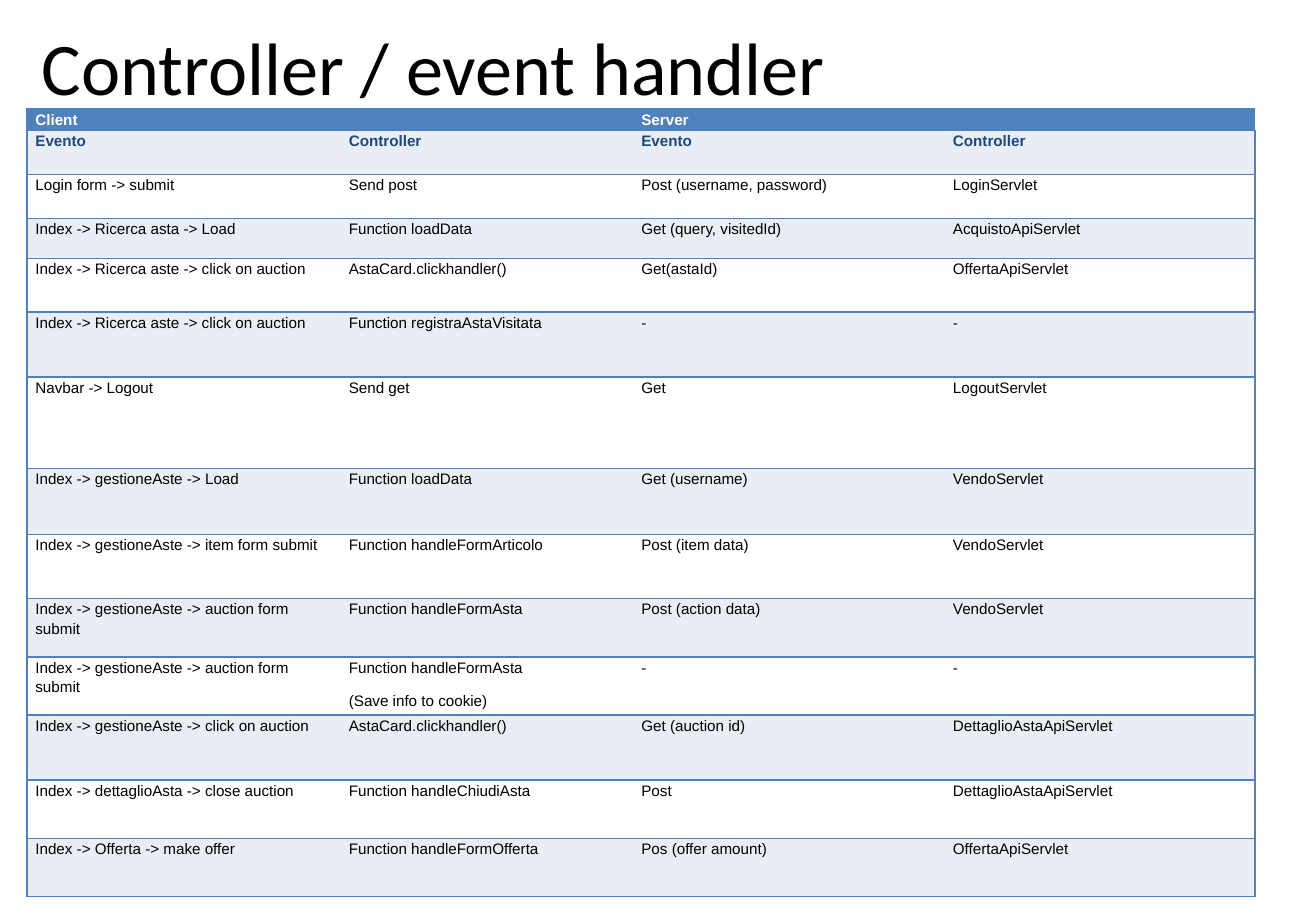
import pptx
import pptx.dml.color
import pptx.enum.text
import pptx.oxml
import pptx.oxml.ns
import pptx.util

Pt = pptx.util.Pt
RGB = pptx.dml.color.RGBColor.from_string

TITLE = "Controller / event handler"
ROWS = [
    ("Client", "", "Server", ""),
    ("Evento", "Controller", "Evento", "Controller"),
    ("Login form -> submit", "Send post", "Post (username, password)", "LoginServlet"),
    ("Index -> Ricerca asta -> Load", "Function loadData", "Get (query, visitedId)", "AcquistoApiServlet"),
    ("Index -> Ricerca aste -> click on auction", "AstaCard.clickhandler()", "Get(astaId)", "OffertaApiServlet"),
    ("Index -> Ricerca aste -> click on auction", "Function registraAstaVisitata", "-", "-"),
    ("Navbar -> Logout", "Send get", "Get", "LogoutServlet"),
    ("Index -> gestioneAste -> Load", "Function loadData", "Get (username)", "VendoServlet"),
    ("Index -> gestioneAste -> item form submit", "Function handleFormArticolo", "Post (item data)", "VendoServlet"),
    ("Index -> gestioneAste -> auction form submit", "Function handleFormAsta", "Post (action data)", "VendoServlet"),
    ("Index -> gestioneAste -> auction form submit", "Function handleFormAsta\n(Save info to cookie)", "-", "-"),
    ("Index -> gestioneAste -> click on auction", "AstaCard.clickhandler()", "Get (auction id)", "DettaglioAstaApiServlet"),
    ("Index -> dettaglioAsta -> close auction", "Function handleChiudiAsta", "Post", "DettaglioAstaApiServlet"),
    ("Index -> Offerta -> make offer", "Function handleFormOfferta", "Pos (offer amount)", "OffertaApiServlet"),
]
COL_WIDTHS = [185.8, 173.4, 184.7, 184]
ROW_HEIGHTS = [12.7, 26, 26, 23.7, 32, 38.5, 54, 39.2, 38, 34.7, 34.5, 38.5, 34.5, 34.5]
TABLE_LEFT, TABLE_TOP = 16, 64.7
COLORS = {"blue": "4F81BD", "band": "E9EDF4", "white": "FFFFFF", "navy": "1F497D", "black": "000000"}
NO_STYLE = "{2D5ABB26-0587-4C30-8999-92F81FD0307C}"
CELL_FORMAT = {"margin_left": Pt(5), "margin_right": Pt(5), "margin_top": 0, "margin_bottom": 0}
PARAGRAPH_FORMAT = {"line_spacing": 1.15, "space_after": Pt(8)}
TITLE_BOX = {"left": Pt(16), "top": Pt(8.6), "width": Pt(702), "height": Pt(90)}
TITLE_FRAME = {
    "margin_left": Pt(8.6), "margin_right": Pt(8.6), "margin_top": Pt(4.3), "margin_bottom": Pt(4.3),
    "vertical_anchor": pptx.enum.text.MSO_ANCHOR.TOP, "word_wrap": True,
    "auto_size": pptx.enum.text.MSO_AUTO_SIZE.NONE,
}


def apply(target, values):
    for name, value in values.items():
        setattr(target, name, value)


def set_font(p, name, size, color, bold=False):
    apply(p.font, {"name": name, "size": Pt(size), "bold": bold})
    p.font.color.rgb = RGB(COLORS[color])


def set_borders(cell, sides):
    tc_pr = cell._tc.get_or_add_tcPr()
    for i, side in enumerate(sides):
        tc_pr.insert(i, pptx.oxml.parse_xml(
            f'<a:ln{side} {pptx.oxml.ns.nsdecls("a")} w="{Pt(1)}"><a:solidFill>'
            f'<a:srgbClr val="{COLORS["blue"]}"/></a:solidFill></a:ln{side}>'))


def row_style(row):
    if row == 0:
        return "blue", "white"
    return "band" if row % 2 else "white", "navy" if row == 1 else "black"


def add_title(slide):
    sp = slide.shapes.title
    apply(sp, TITLE_BOX)
    tf = sp.text_frame
    apply(tf, TITLE_FRAME)
    tf.text = TITLE
    p = tf.paragraphs[0]
    p.alignment = pptx.enum.text.PP_ALIGN.LEFT
    set_font(p, "Calibri", 44, "black")


def add_event_table(slide):
    frame = slide.shapes.add_table(
        len(ROWS), len(COL_WIDTHS), Pt(TABLE_LEFT), Pt(TABLE_TOP), Pt(sum(COL_WIDTHS)), Pt(sum(ROW_HEIGHTS)))
    table = frame.table
    table._tbl.tblPr.find(pptx.oxml.ns.qn("a:tableStyleId")).text = NO_STYLE
    for column, width in zip(table.columns, COL_WIDTHS):
        column.width = Pt(width)
    for row, height in zip(table.rows, ROW_HEIGHTS):
        row.height = Pt(height)
    last = len(COL_WIDTHS) - 1
    for r, texts in enumerate(ROWS):
        fill, color = row_style(r)
        for c, text in enumerate(texts):
            cell = table.cell(r, c)
            apply(cell, CELL_FORMAT)
            cell.fill.solid()
            cell.fill.fore_color.rgb = RGB(COLORS[fill])
            set_borders(cell, ["L"] * (c == 0) + ["R"] * (c == last) + ["T", "B"])
            cell.text_frame.text = text
            for p in cell.text_frame.paragraphs:
                apply(p, PARAGRAPH_FORMAT)
                set_font(p, "Arial", 9, color, r < 2)
    for c in (0, 2):
        table.cell(0, c).merge(table.cell(0, c + 1))


def main():
    prs = pptx.Presentation()
    prs.slide_width, prs.slide_height = Pt(780), Pt(540)
    slide = prs.slides.add_slide(prs.slide_layouts[5])
    add_title(slide)
    add_event_table(slide)
    prs.save("out.pptx")


if __name__ == "__main__":
    main()
